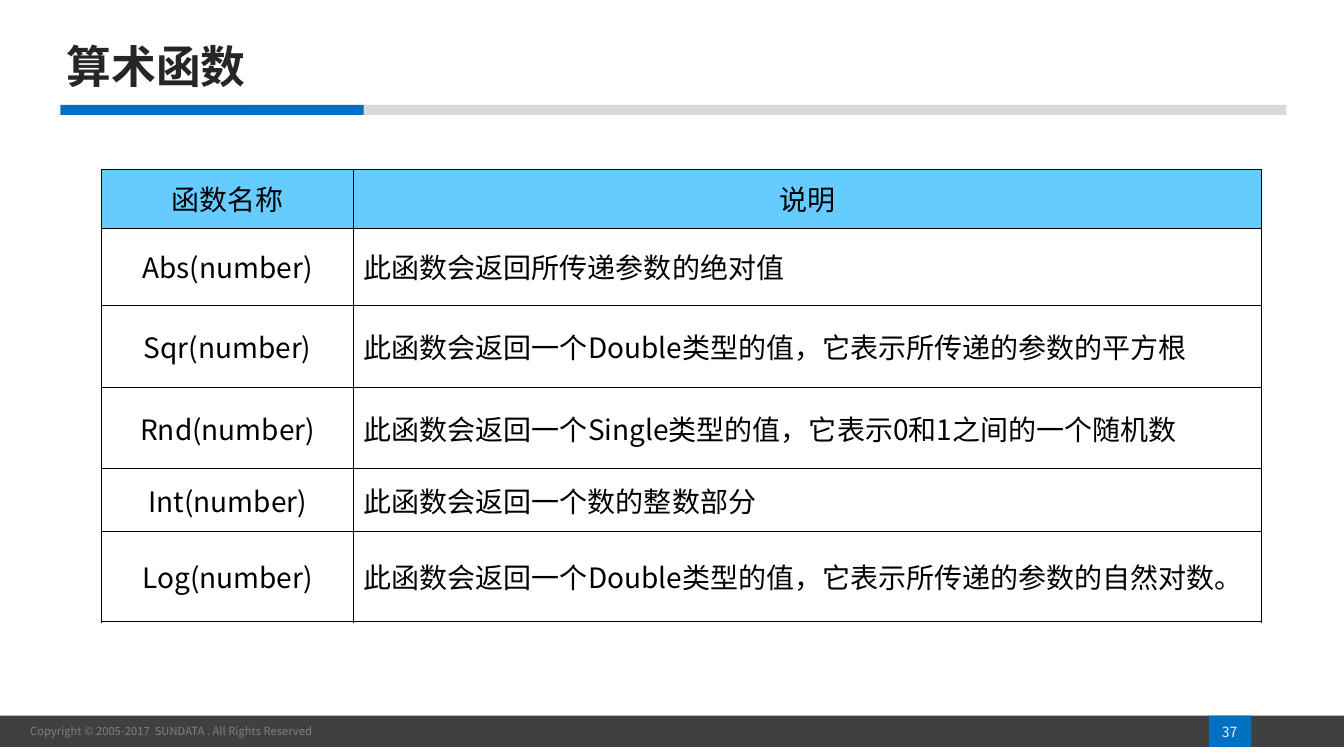
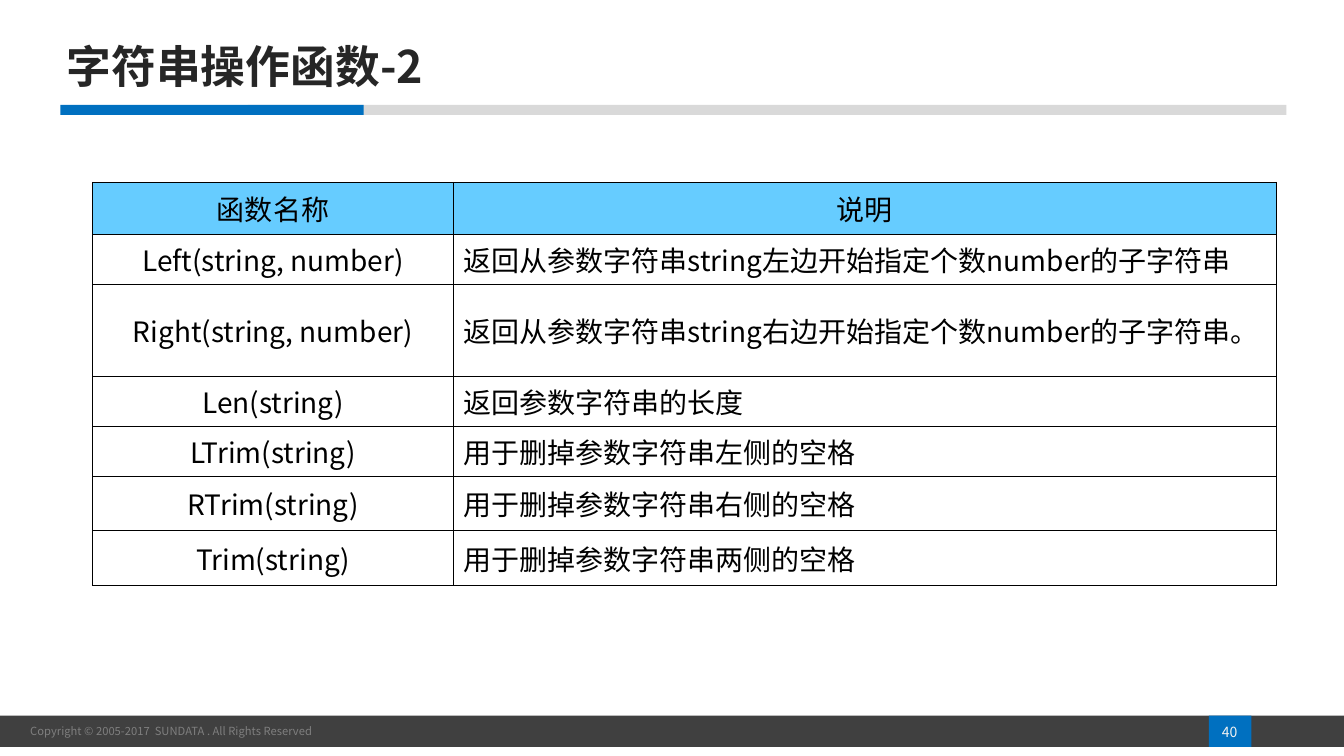
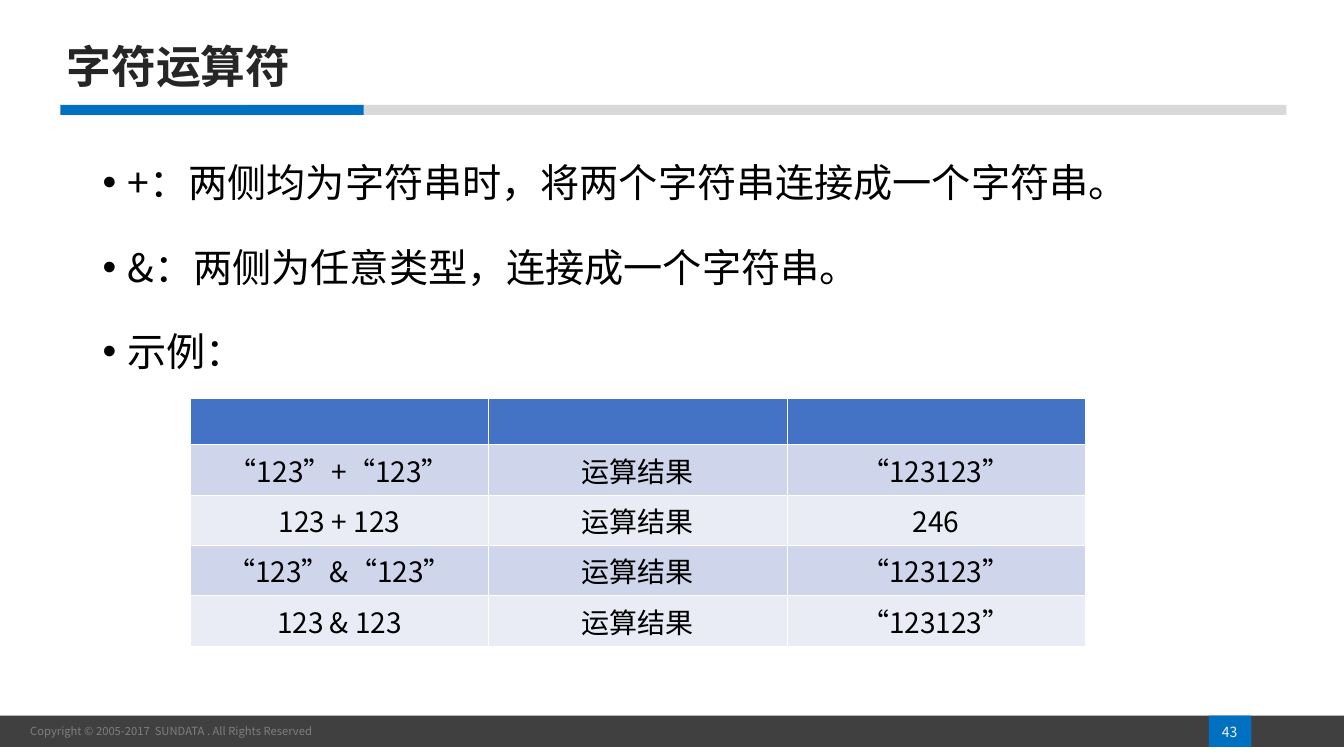
from dataclasses import dataclass

from lxml import etree
from pptx import Presentation
from pptx.dml.color import RGBColor
from pptx.enum.shapes import MSO_SHAPE
from pptx.enum.text import MSO_ANCHOR, MSO_AUTO_SIZE, PP_ALIGN
from pptx.oxml.ns import qn
from pptx.util import Inches, Pt

LEFT, CENTER = PP_ALIGN.LEFT, PP_ALIGN.CENTER
TOP, MIDDLE = MSO_ANCHOR.TOP, MSO_ANCHOR.MIDDLE
RECT = MSO_SHAPE.RECTANGLE
NO_FIT = MSO_AUTO_SIZE.NONE
TITLE_ONLY = 5


@dataclass(frozen=True)
class Theme:
    font: str = "Noto Sans CJK SC"
    ink: str = "000000"
    white: str = "FFFFFF"
    title: str = "262626"
    blue: str = "0070C0"
    rule: str = "D9D9D9"
    foot: str = "404040"
    note: str = "7F7F7F"
    page: str = "F2F2F2"
    sky: str = "66CCFF"
    head: str = "4472C4"
    odd: str = "CFD5EA"
    even: str = "E9EBF5"
    title_size: int = 32
    body_size: int = 28
    cell_size: int = 20
    page_size: int = 10
    note_size: int = 8


THEME = Theme()


def rgb(code):
    return RGBColor.from_string(code)


def add_bullet(para, indent):
    props = para._p.get_or_add_pPr()
    props.set("marL", str(Inches(indent)))
    props.set("indent", str(-Inches(indent)))
    etree.SubElement(props, qn("a:buFont")).set("typeface", "Arial")
    etree.SubElement(props, qn("a:buChar")).set("char", "•")


def write(frame, text, size=THEME.cell_size, color=THEME.ink, bold=False,
          align=LEFT, anchor=MIDDLE, line=None, gap=0, bullet=False):
    """Fill a text frame, one paragraph for each line of text.

    Closing punctuation wraps with its word and never hangs in the margin.
    """
    frame.word_wrap = True
    frame.vertical_anchor = anchor
    for i, part in enumerate(text.split("\n")):
        para = frame.add_paragraph() if i else frame.paragraphs[0]
        para._p.get_or_add_pPr().set("hangingPunct", "0")
        if bullet:
            add_bullet(para, 0.25)
        para.alignment = align
        if line:
            para.line_spacing = line
        if i and gap:
            para.space_before = Pt(gap)
        run = para.add_run()
        run.text = part
        font = run.font
        font.size, font.bold, font.name = Pt(size), bold, THEME.font
        font.color.rgb = rgb(color)
        east = etree.SubElement(run._r.get_or_add_rPr(), qn("a:ea"))
        east.set("typeface", THEME.font)


def set_edges(cell, color, widths):
    """Draw the cell borders; widths are left, right, top, bottom in points."""
    props = cell._tc.get_or_add_tcPr()
    for i, (side, width) in enumerate(zip("LRTB", widths)):
        edge = etree.Element(qn("a:ln" + side), w=str(Pt(width)))
        fill = etree.SubElement(edge, qn("a:solidFill"))
        etree.SubElement(fill, qn("a:srgbClr")).set("val", color)
        props.insert(i, edge)


class Deck:
    def __init__(self):
        self.show = Presentation()
        self.show.slide_width = Inches(13.34)
        self.show.slide_height = Inches(7.5)
        self.slide = None

    def rect(self, box, fill):
        shape = self.slide.shapes.add_shape(RECT, *map(Inches, box))
        shape.shadow.inherit = False
        shape.fill.solid()
        shape.fill.fore_color.rgb = rgb(fill)
        shape.line.fill.background()
        return shape

    def text(self, box, text, **form):
        shape = self.slide.shapes.add_textbox(*map(Inches, box))
        write(shape.text_frame, text, **form)

    def start(self, title, page):
        """Begin a slide with its footer, rule and title."""
        layout = self.show.slide_layouts[TITLE_ONLY]
        self.slide = self.show.slides.add_slide(layout)
        foot = self.rect((0, 7.1, 13.34, 0.31), THEME.foot)
        foot.text_frame.margin_left = Inches(0.3)
        write(foot.text_frame,
              "Copyright © 2005-2017  SUNDATA . All Rights Reserved",
              size=THEME.note_size, color=THEME.note)
        self.rect((12, 7.1, 0.42, 0.31), THEME.blue)
        self.text((11.79, 7.16, 0.83, 0.21), str(page), size=THEME.page_size,
                  color=THEME.page, align=CENTER)
        self.rect((2.46, 1.04, 10.31, 0.1), THEME.rule)
        self.rect((0.6, 1.04, 3.01, 0.1), THEME.blue)
        head = self.slide.shapes.title
        head.left, head.top = Inches(0.56), Inches(0.16)
        head.width, head.height = Inches(7.04), Inches(1.05)
        head.text_frame.auto_size = NO_FIT
        write(head.text_frame, title, size=THEME.title_size,
              color=THEME.title, bold=True, line=0.9)

    def table(self, spot, cols, heights, rows, fills, aligns, edge, width):
        """Add a table; width(side, row, col) gives each border in points."""
        box = (*spot, sum(cols), sum(heights))
        frame = self.slide.shapes.add_table(
            len(rows), len(cols), *map(Inches, box))
        grid = frame.table
        grid.first_row = grid.horz_banding = False
        for col, size in zip(grid.columns, cols):
            col.width = Inches(size)
        for row, size in zip(grid.rows, heights):
            row.height = Inches(size)
        for r, row in enumerate(rows):
            for c, text in enumerate(row):
                cell = grid.cell(r, c)
                cell.vertical_anchor = MIDDLE
                if fills[r]:
                    cell.fill.solid()
                    cell.fill.fore_color.rgb = rgb(fills[r])
                else:
                    cell.fill.background()
                set_edges(cell, edge, [width(s, r, c) for s in "LRTB"])
                if text:
                    write(cell.text_frame, text,
                          align=aligns[c] if r else CENTER)

    def guide(self, spot, cols, heights, rows):
        """Add a framed table of functions and what they do."""
        rows = [("函数名称", "说明"), *rows]
        last = len(rows) - 1

        def width(side, r, c):
            outer = {"L": c == 0, "R": c == 1, "T": r == 0, "B": r == last}
            return 1.08 if outer[side] else 0.45

        self.table(spot, cols, heights, rows, [THEME.sky] + [None] * last,
                   (CENTER, LEFT), THEME.ink, width)

    def sample(self, spot, cols, heights, rows):
        """Add a banded table under an empty heading row."""
        rows = [("",) * len(cols), *rows]
        bands = [THEME.even if r % 2 == 0 else THEME.odd
                 for r in range(1, len(rows))]

        def width(side, r, c):
            return 1.47 if (side, r) in (("B", 0), ("T", 1)) else 0.45

        self.table(spot, cols, heights, rows, [THEME.head] + bands,
                   (CENTER,) * len(cols), THEME.white, width)


def main():
    deck = Deck()

    deck.start("算术函数", 37)
    deck.guide((1.01, 1.68), (2.5, 9.01), (0.58, 0.77, 0.81, 0.81, 0.62, 0.9), [
        ("Abs(number)", "此函数会返回所传递参数的绝对值"),
        ("Sqr(number)",
         "此函数会返回一个Double类型的值，它表示所传递的参数的平方根"),
        ("Rnd(number)",
         "此函数会返回一个Single类型的值，它表示0和1之间的一个随机数"),
        ("Int(number)", "此函数会返回一个数的整数部分"),
        ("Log(number)",
         "此函数会返回一个Double类型的值，它表示所传递的参数的自然对数。"),
    ])

    deck.start("字符串操作函数-2", 40)
    deck.guide((0.92, 1.81), (3.58, 8.17),
               (0.51, 0.5, 0.91, 0.5, 0.5, 0.53, 0.55), [
        ("Left(string, number)",
         "返回从参数字符串string左边开始指定个数number的子字符串"),
        ("Right(string, number)",
         "返回从参数字符串string右边开始指定个数number的子字符串。"),
        ("Len(string)", "返回参数字符串的长度"),
        ("LTrim(string)", "用于删掉参数字符串左侧的空格"),
        ("RTrim(string)", "用于删掉参数字符串右侧的空格"),
        ("Trim(string)", "用于删掉参数字符串两侧的空格"),
    ])

    deck.start("字符运算符", 43)
    deck.text((0.92, 1.29, 11.5, 2.6),
              "+：两侧均为字符串时，将两个字符串连接成一个字符串。\n"
              "&：两侧为任意类型，连接成一个字符串。\n"
              "示例：",
              size=THEME.body_size, anchor=TOP, line=1.5, gap=10, bullet=True)
    sums = [("“123”+“123”", "“123123”"), ("123 + 123", "246"),
            ("“123”&“123”", "“123123”"), ("123 & 123", "“123123”")]
    deck.sample((1.89, 3.95), (2.96,) * 3, (0.46,) + (0.5,) * 4,
                [(left, "运算结果", right) for left, right in sums])

    deck.show.save("out.pptx")


if __name__ == "__main__":
    main()
